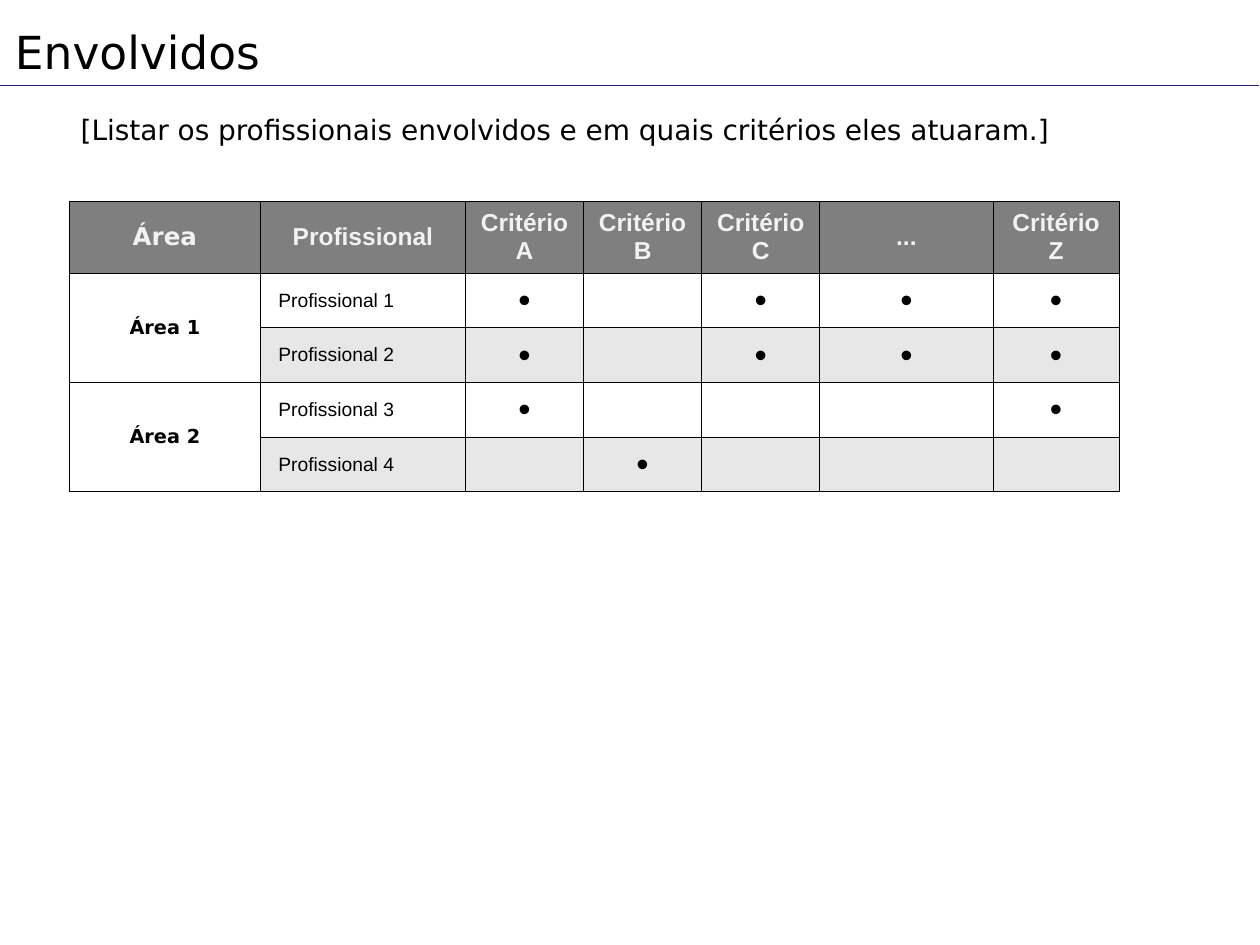
import pptx
import pptx.dml.color
import pptx.enum.shapes
import pptx.enum.text
import pptx.oxml
import pptx.oxml.ns
import pptx.util

Pt = pptx.util.Pt
ALIGN = pptx.enum.text.PP_ALIGN
MIDDLE = pptx.enum.text.MSO_ANCHOR.MIDDLE
HEADERS = ["Área", "Profissional", "Critério A", "Critério B", "Critério C", "...", "Critério Z"]
COLUMN_WIDTHS = [109.3, 117.1, 67.5, 67.5, 67.5, 99, 72]
AREAS = ["Área 1", "Área 2"]
PROFESSIONALS = [
    ("Profissional 1", "ACZ."),
    ("Profissional 2", "ACZ."),
    ("Profissional 3", "AZ"),
    ("Profissional 4", "B"),
]
CRITERIA = "ABC.Z"


def color(value):
    return pptx.dml.color.RGBColor.from_string(value)


def write(frame, text, size=11, font="Arial", ink="000000", bold=False, align=ALIGN.LEFT):
    paragraph = frame.paragraphs[0]
    paragraph.alignment = align
    run = paragraph.add_run()
    run.text = text
    run.font.size = Pt(size)
    run.font.name = font
    run.font.bold = bold
    run.font.color.rgb = color(ink)


class SlideBuilder:
    """Holds the style and the current slide, and adds its elements."""

    display_font = "DejaVu Sans"
    border = "000000"
    rule_color = "262673"
    header_fill = "7F7F7F"
    header_ink = "F2F2F2"
    band_fill = "E7E7E7"

    def __init__(self, slide):
        self.slide = slide

    def rule(self, top, width):
        connector = self.slide.shapes.add_connector(
            pptx.enum.shapes.MSO_CONNECTOR.STRAIGHT, 0, Pt(top), Pt(width), Pt(top))
        connector.line.color.rgb = color(self.rule_color)
        connector.line.width = Pt(0.75)
        properties = connector._element.spPr
        properties.append(pptx.oxml.parse_xml(f"<a:effectLst {pptx.oxml.ns.nsdecls('a')}/>"))

    def text(self, text, left, top, width, height, size):
        box = self.slide.shapes.add_textbox(Pt(left), Pt(top), Pt(width), Pt(height))
        box.text_frame.word_wrap = True
        write(box.text_frame, text, size=size, font=self.display_font)

    def cell(self, cell, text="", fill=None, **style):
        cell.vertical_anchor = MIDDLE
        if fill:
            cell.fill.solid()
            cell.fill.fore_color.rgb = color(fill)
        else:
            cell.fill.background()
        properties = cell._tc.get_or_add_tcPr()
        for position, side in enumerate(("lnL", "lnR", "lnT", "lnB")):
            properties.insert(position, pptx.oxml.parse_xml(
                f"<a:{side} {pptx.oxml.ns.nsdecls('a')} w='{Pt(0.45)}'><a:solidFill>"
                f"<a:srgbClr val='{self.border}'/></a:solidFill></a:{side}>"))
        if text:
            write(cell.text_frame, text, **style)

    def table(self, left, top, header_height, row_height):
        row_count = len(PROFESSIONALS) + 1
        table = self.slide.shapes.add_table(
            row_count, len(HEADERS), Pt(left), Pt(top), Pt(sum(COLUMN_WIDTHS)),
            Pt(header_height + row_height * len(PROFESSIONALS))).table
        table.first_row = table.horz_banding = False
        for column, width in zip(table.columns, COLUMN_WIDTHS):
            column.width = Pt(width)
        for index, row in enumerate(table.rows):
            row.height = Pt(row_height if index else header_height)

        for index, header in enumerate(HEADERS):
            self.cell(table.cell(0, index), header, self.header_fill, size=14,
                      font="Arial" if index else self.display_font,
                      ink=self.header_ink, bold=True, align=ALIGN.CENTER)

        for row, (name, involved) in enumerate(PROFESSIONALS, 1):
            fill = None if row % 2 else self.band_fill
            area = AREAS[row // 2] if row % 2 else ""
            self.cell(table.cell(row, 0), area, font=self.display_font,
                      bold=True, align=ALIGN.CENTER)
            if area:
                table.cell(row, 0).merge(table.cell(row + 1, 0))
            self.cell(table.cell(row, 1), name, fill)
            table.cell(row, 1).margin_left = Pt(10.2)
            for column, criterion in enumerate(CRITERIA, 2):
                mark = "•" if criterion in involved else ""
                self.cell(table.cell(row, column), mark, fill, size=20, align=ALIGN.CENTER)


def main():
    presentation = pptx.Presentation()
    presentation.slide_width = Pt(720)
    presentation.slide_height = Pt(540)
    builder = SlideBuilder(presentation.slides.add_slide(presentation.slide_layouts[6]))
    builder.rule(top=49, width=719.5)
    builder.text("Envolvidos", 1.5, 10, 648, 39, size=26)
    builder.table(left=39.6, top=115, header_height=41, row_height=31.25)
    builder.text("[Listar os profissionais envolvidos e em quais critérios eles atuaram.]",
                 39, 60.5, 655, 26.5, size=16)
    presentation.save("out.pptx")


if __name__ == "__main__":
    main()
